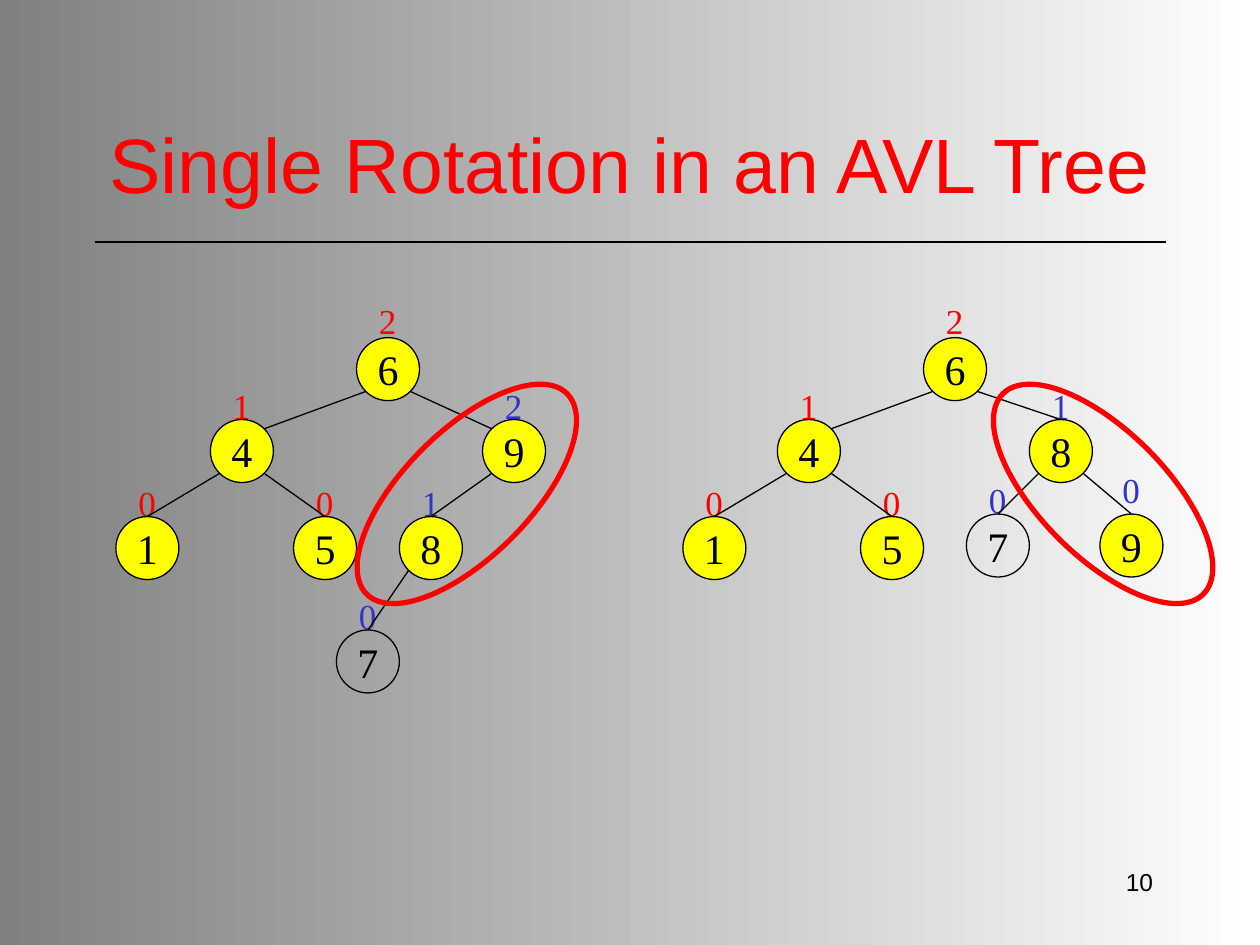
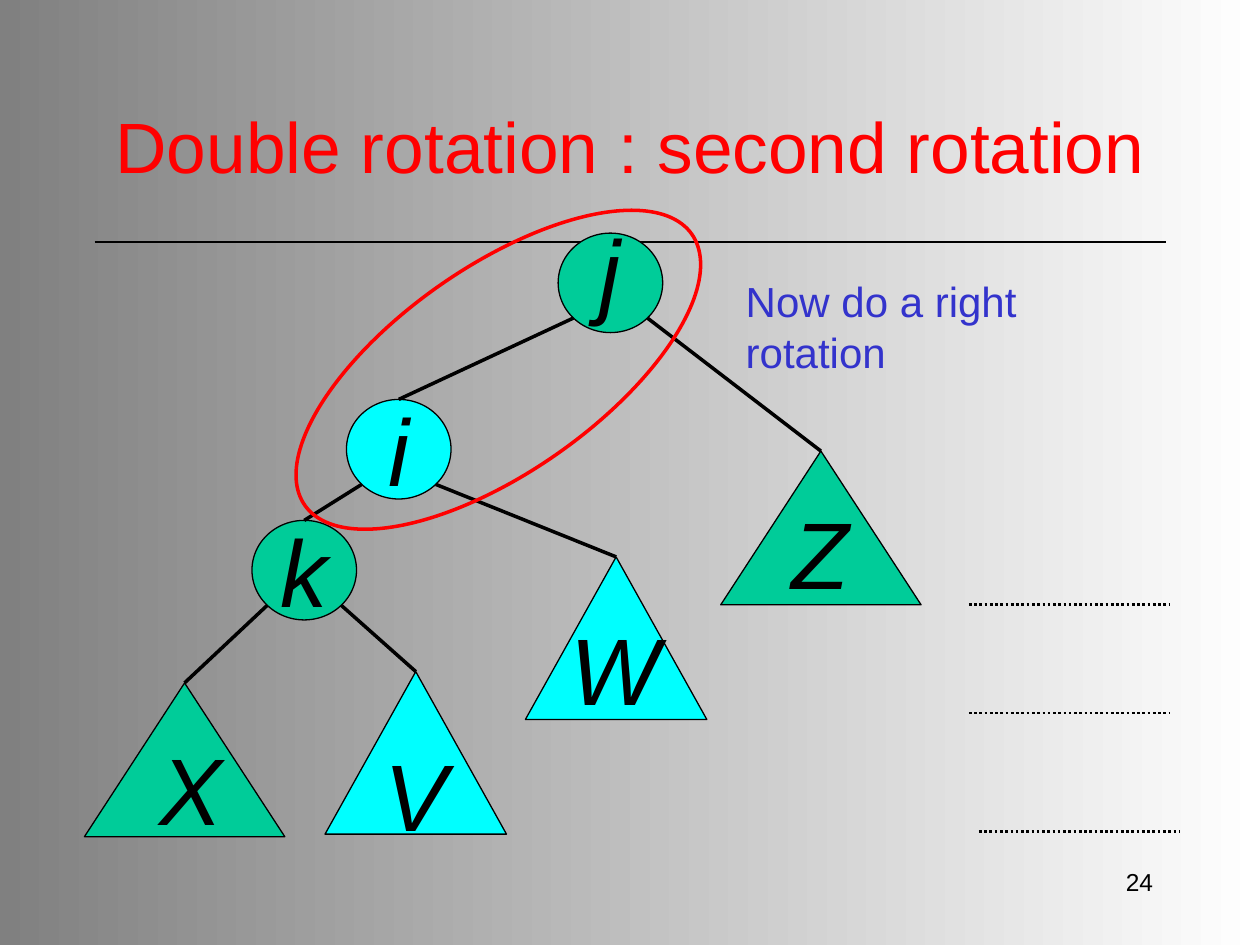
import math
from dataclasses import dataclass
from typing import Optional

import lxml.etree
import pptx
import pptx.dml.color
import pptx.enum.dml
import pptx.enum.shapes
import pptx.enum.text
import pptx.oxml.ns
import pptx.slide
import pptx.util

Inches = pptx.util.Inches
Align = pptx.enum.text.PP_ALIGN
Anchor = pptx.enum.text.MSO_ANCHOR
AutoSize = pptx.enum.text.MSO_AUTO_SIZE
ELLIPSE = pptx.enum.shapes.MSO_SHAPE.OVAL
TRIANGLE = pptx.enum.shapes.MSO_SHAPE.ISOSCELES_TRIANGLE

# Shared look
BLACK, WHITE, GREY = "000000", "FFFFFF", "808080"
RED, BLUE, YELLOW = "FF0000", "3333CC", "FFFF00"
GREEN, CYAN = "00CC99", "00FFFF"
SANS, SERIF = "Arial", "Times New Roman"


@dataclass
class TextStyle:
    size: float
    font: str = SANS
    color: str = BLACK
    italic: bool = False
    align: Optional[Align] = None


KEY_STYLE = TextStyle(24, SERIF, align=Align.CENTER)
LETTER_STYLE = TextStyle(54, italic=True)
CENTERED_LETTER = TextStyle(54, italic=True, align=Align.CENTER)


@dataclass
class Node:
    """A tree node; letter_at places its text in a box of its own."""
    key: str
    left: float
    top: float
    fill: Optional[str] = YELLOW
    width: float = 0.5
    height: float = 0.5
    outline: int = ELLIPSE
    style: TextStyle = None
    letter_at: Optional[tuple[float, float]] = None
    balance: str = ""
    balance_color: str = RED
    lift: float = 0.33


@dataclass
class Edge:
    """An edge to the child's top, or to its upper corner facing the parent."""
    parent: str
    child: str
    to_corner: bool = False


def rgb(color: str) -> pptx.dml.color.RGBColor:
    return pptx.dml.color.RGBColor.from_string(color)


def write(frame, text: str, style: TextStyle) -> None:
    frame.text = text
    paragraph = frame.paragraphs[0]
    if style.align is not None:
        paragraph.alignment = style.align
    font = paragraph.runs[0].font
    font.size, font.name = pptx.util.Pt(style.size), style.font
    font.italic = style.italic
    font.color.rgb = rgb(style.color)


def add_text(slide: pptx.slide.Slide, text: str, box: tuple, style: TextStyle,
             wrap: bool = False, grow: bool = True) -> None:
    frame = slide.shapes.add_textbox(*map(Inches, box)).text_frame
    frame.word_wrap = wrap
    frame.auto_size = AutoSize.SHAPE_TO_FIT_TEXT if grow else AutoSize.NONE
    write(frame, text, style)


def add_line(slide: pptx.slide.Slide, start: tuple, end: tuple,
             width: float = 0.75, dash=None):
    line = slide.shapes.add_connector(
        pptx.enum.shapes.MSO_CONNECTOR.STRAIGHT, *map(Inches, start + end))
    line.line.color.rgb = rgb(BLACK)
    line.line.width = pptx.util.Pt(width)
    if dash is not None:
        line.line.dash_style = dash
    lxml.etree.SubElement(line._element.spPr, pptx.oxml.ns.qn("a:effectLst"))
    return line


def add_outline(slide: pptx.slide.Slide, kind: int, box: tuple,
                fill: Optional[str] = None, color: str = BLACK,
                width: float = 0.75, rotation: float = 0):
    shape = slide.shapes.add_shape(kind, *map(Inches, box))
    shape.shadow.inherit = False
    if fill:
        shape.fill.solid()
        shape.fill.fore_color.rgb = rgb(fill)
    else:
        shape.fill.background()
    shape.line.color.rgb = rgb(color)
    shape.line.width = pptx.util.Pt(width)
    shape.rotation = rotation
    return shape


def corner(node: Node, side: int, level: int) -> tuple[float, float]:
    """Point on the node's ellipse at 45 degrees; -1 is left or upper."""
    reach = math.sqrt(0.5) / 2
    return (node.left + node.width * (0.5 + side * reach),
            node.top + node.height * (0.5 + level * reach))


def add_balance(slide: pptx.slide.Slide, node: Node) -> None:
    add_text(slide, node.balance,
             (node.left + 0.08, node.top - node.lift, 0.34, 0.44),
             TextStyle(20, SERIF, node.balance_color))


def add_node(slide: pptx.slide.Slide, node: Node):
    shape = add_outline(slide, node.outline,
                        (node.left, node.top, node.width, node.height), node.fill)
    if node.letter_at:
        add_text(slide, node.key, (*node.letter_at, 0.51, 1), LETTER_STYLE, wrap=True)
    else:
        frame = shape.text_frame
        frame.word_wrap = False
        frame.vertical_anchor = Anchor.MIDDLE
        write(frame, node.key, node.style or KEY_STYLE)
    return shape


def add_tree(slide: pptx.slide.Slide, nodes: list[Node], edges: list[Edge],
             edge_width: float = 0.75) -> None:
    for node in nodes:
        if node.balance:
            add_balance(slide, node)
    by_key = {node.key: node for node in nodes}
    shapes = {node.key: add_node(slide, node) for node in nodes}
    for edge in edges:
        parent, child = by_key[edge.parent], by_key[edge.child]
        child_middle = child.left + child.width / 2
        side = 1 if child_middle > parent.left + parent.width / 2 else -1
        end = corner(child, -side, -1) if edge.to_corner else (child_middle, child.top)
        line = add_line(slide, corner(parent, side, 1), end, edge_width)
        if not edge.to_corner:
            line.end_connect(shapes[edge.child], 0)


def add_slide(deck, title: str, title_box: tuple, title_size: float,
              number: str) -> pptx.slide.Slide:
    slide = deck.slides.add_slide(deck.slide_layouts[5])
    add_line(slide, (0.75, 1.92), (9.25, 1.92))
    add_text(slide, number, (7.17, 6.83, 2.08, 0.5),
             TextStyle(14, align=Align.RIGHT), wrap=True, grow=False)
    heading = slide.shapes.title
    heading.left, heading.top, heading.width, heading.height = map(Inches, title_box)
    frame = heading.text_frame
    frame.vertical_anchor = Anchor.MIDDLE
    frame.auto_size = AutoSize.NONE
    write(frame, title, TextStyle(title_size, color=RED, align=Align.CENTER))
    return slide


def set_background(deck) -> None:
    fill = deck.slide_master.background.fill
    fill.gradient()
    fill.gradient_angle = 180
    for stop, color, position in zip(fill.gradient_stops, (WHITE, GREY), (0, 1)):
        stop.color.rgb = rgb(color)
        stop.position = position


def build_single_rotation(deck) -> None:
    slide = add_slide(deck, "Single Rotation in an AVL Tree",
                      (0.75, 0.67, 8.5, 1.25), 44, "10")

    # The part that both trees share
    def shared_nodes(shift: float) -> list[Node]:
        return [Node("6", 2.83 + shift, 2.68, balance="2", lift=0.35),
                Node("4", 1.67 + shift, 3.33, balance="1"),
                Node("1", 0.92 + shift, 4.1, balance="0"),
                Node("5", 2.33 + shift, 4.1, balance="0")]

    shared_edges = [Edge("6", "4", to_corner=True), Edge("4", "1"), Edge("4", "5")]

    # Before the rotation
    before = [Node("9", 3.83, 3.33, balance="2", balance_color=BLUE),
              Node("8", 3.17, 4.1, balance="1", balance_color=BLUE),
              Node("7", 2.67, 5, fill=None, balance="0", balance_color=BLUE)]
    add_tree(slide, shared_nodes(0) + before, shared_edges + [
        Edge("6", "9", to_corner=True), Edge("9", "8"), Edge("8", "7")])

    # After the rotation
    after = [Node("8", 8.17, 3.33, balance="1", balance_color=BLUE),
             Node("9", 8.73, 4.08, balance="0", balance_color=BLUE, lift=0.41),
             Node("7", 7.67, 4.08, fill=None, balance="0", balance_color=BLUE)]
    add_tree(slide, shared_nodes(4.5) + after, shared_edges + [
        Edge("6", "8"), Edge("8", "9"), Edge("8", "7")])

    # Rings around the rotated nodes
    for left, rotation in ((2.58, 315), (7.63, 45)):
        add_outline(slide, ELLIPSE, (left, 3.42, 2.25, 1), color=RED,
                    width=3, rotation=rotation)


def build_double_rotation(deck) -> None:
    slide = add_slide(deck, "Double rotation : second rotation",
                      (0.73, 0.71, 8.54, 0.88), 40.7, "24")

    # Nodes and subtrees
    circle = dict(width=0.83, height=0.79, style=CENTERED_LETTER)
    wide = dict(fill=GREEN, width=1.59, height=1.22, outline=TRIANGLE)
    tall = dict(fill=CYAN, width=1.44, height=1.29, outline=TRIANGLE)
    nodes = [Node("j", 4.43, 1.85, GREEN, letter_at=(4.66, 1.64), **circle),
             Node("k", 2, 4.13, GREEN, **circle),
             Node("i", 2.75, 3.17, CYAN, **circle),
             Node("X", 0.67, 5.42, letter_at=(1.17, 5.75), **wide),
             Node("V", 2.58, 5.33, style=CENTERED_LETTER, **tall),
             Node("Z", 5.72, 3.58, letter_at=(6.18, 3.88), **wide),
             Node("W", 4.17, 4.42, letter_at=(4.43, 4.8), **tall)]
    add_tree(slide, nodes, [Edge(*pair) for pair in ("ji", "jZ", "ik", "iW", "kX", "kV")],
             edge_width=2)

    # Depth marks
    for left, top in ((7.69, 4.8), (7.69, 5.66), (7.77, 6.6)):
        add_line(slide, (left, top), (left + 1.59, top), 1.5,
                 pptx.enum.dml.MSO_LINE.ROUND_DOT)

    # Ring around the rotated nodes and the instruction
    add_outline(slide, ELLIPSE, (2.08, 2.12, 3.75, 1.63), color=RED,
                width=2, rotation=325)
    add_text(slide, "Now do a right rotation", (5.82, 2.14, 3.55, 0.5),
             TextStyle(24, color=BLUE))


def main() -> None:
    deck = pptx.Presentation()
    deck.slide_width, deck.slide_height = Inches(10), Inches(7.5)
    set_background(deck)
    build_single_rotation(deck)
    build_double_rotation(deck)
    deck.save("out.pptx")


if __name__ == "__main__":
    main()
